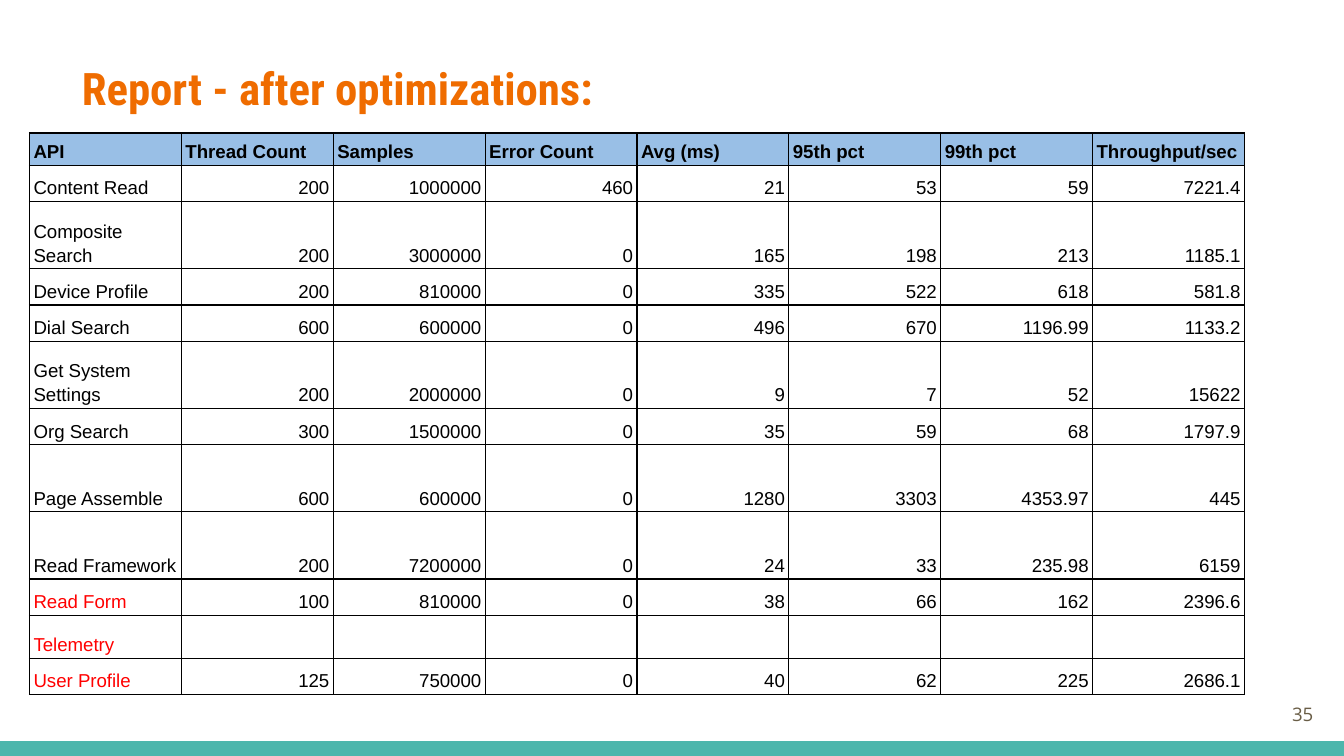
import pptx
import pptx.dml.color
import pptx.enum.shapes
import pptx.enum.text
import pptx.oxml.ns
import pptx.util
from lxml import etree

Inches, Pt = pptx.util.Inches, pptx.util.Pt
RGBColor = pptx.dml.color.RGBColor
ALIGN = pptx.enum.text.PP_ALIGN
ANCHOR = pptx.enum.text.MSO_ANCHOR
qn = pptx.oxml.ns.qn

ORANGE = RGBColor(0xEF, 0x6C, 0x00)
TEAL = RGBColor(0x4D, 0xB6, 0xAC)
HEADER_BLUE = RGBColor(0x99, 0xBF, 0xE6)
BROWN = RGBColor(0x69, 0x5D, 0x46)
BLACK = RGBColor(0, 0, 0)
RED = RGBColor(0xFF, 0, 0)

TITLE = "Report - after optimizations:"
PAGE_NUMBER = "35"
HEADERS = ["API", "Thread Count", "Samples", "Error Count",
           "Avg (ms)", "95th pct", "99th pct", "Throughput/sec"]
RESULTS = [
    ["Content Read", "200", "1000000", "460", "21", "53", "59", "7221.4"],
    ["Composite Search", "200", "3000000", "0", "165", "198", "213", "1185.1"],
    ["Device Profile", "200", "810000", "0", "335", "522", "618", "581.8"],
    ["Dial Search", "600", "600000", "0", "496", "670", "1196.99", "1133.2"],
    ["Get System Settings", "200", "2000000", "0", "9", "7", "52", "15622"],
    ["Org Search", "300", "1500000", "0", "35", "59", "68", "1797.9"],
    ["Page Assemble", "600", "600000", "0", "1280", "3303", "4353.97", "445"],
    ["Read Framework", "200", "7200000", "0", "24", "33", "235.98", "6159"],
    ["Read Form", "100", "810000", "0", "38", "66", "162", "2396.6"],
    ["Telemetry"] + [""] * 7,
    ["User Profile", "125", "750000", "0", "40", "62", "225", "2686.1"],
]
HIGHLIGHTED = {"Read Form", "Telemetry", "User Profile"}
ROW_HEIGHT = 0.27
SPECIAL_HEIGHTS = {"API": 0.24, "Composite Search": 0.5, "Get System Settings": 0.5,
                   "Page Assemble": 0.5, "Read Framework": 0.5, "Telemetry": 0.32}
COLUMN_WIDTH = 1.13
SLIDE_WIDTH = 10
SLIDE_HEIGHT = SLIDE_WIDTH * 9 / 16
BAR_HEIGHT = 0.11


def add_run(paragraph, text, font_name, size, color, bold=False):
    run = paragraph.add_run()
    run.text = text
    run.font.name = font_name
    run.font.size = Pt(size)
    run.font.color.rgb = color
    run.font.bold = bold


def add_label(slide, box, text, anchor, align, *style):
    frame = slide.shapes.add_textbox(*map(Inches, box)).text_frame
    frame.word_wrap = True
    frame.vertical_anchor = anchor
    frame.margin_left = frame.margin_right = Inches(0.1)
    frame.margin_top = frame.margin_bottom = Inches(0.1)
    frame.paragraphs[0].alignment = align
    add_run(frame.paragraphs[0], text, *style)


def add_borders(cell):
    properties = cell._tc.get_or_add_tcPr()
    for side in ("lnL", "lnR", "lnT", "lnB"):
        line = etree.SubElement(properties, qn(f"a:{side}"), w=str(Pt(0.75)))
        fill = etree.SubElement(line, qn("a:solidFill"))
        etree.SubElement(fill, qn("a:srgbClr"), val=str(BLACK))


def fill_cell(cell, text, is_header, is_name):
    add_borders(cell)
    if is_header:
        cell.fill.solid()
        cell.fill.fore_color.rgb = HEADER_BLUE
    else:
        cell.fill.background()
    cell.vertical_anchor = ANCHOR.BOTTOM
    cell.margin_left = cell.margin_right = Inches(0.03)
    cell.margin_top = cell.margin_bottom = Inches(0.02)
    paragraph = cell.text_frame.paragraphs[0]
    paragraph.line_spacing = 1.15
    paragraph.alignment = ALIGN.LEFT if is_header or is_name else ALIGN.RIGHT
    if text:
        color = RED if text in HIGHLIGHTED else BLACK
        add_run(paragraph, text, "Arial", 10, color, is_header)
    else:
        # keeps an empty cell from stretching its row
        etree.SubElement(paragraph._p, qn("a:endParaRPr"), sz="1000")


def add_results_table(slide):
    rows = [HEADERS] + RESULTS
    heights = [SPECIAL_HEIGHTS.get(row[0], ROW_HEIGHT) for row in rows]
    table = slide.shapes.add_table(
        len(rows), len(HEADERS), Inches(0.22), Inches(0.99),
        Inches(COLUMN_WIDTH * len(HEADERS)), Inches(sum(heights))).table
    table.horz_banding = False
    for column in table.columns:
        column.width = Inches(COLUMN_WIDTH)
    for r, (row, height) in enumerate(zip(rows, heights)):
        table.rows[r].height = Inches(height)
        for c, text in enumerate(row):
            fill_cell(table.cell(r, c), text, r == 0, c == 0)


def main():
    presentation = pptx.Presentation()
    presentation.slide_width = Inches(SLIDE_WIDTH)
    presentation.slide_height = Inches(SLIDE_HEIGHT)
    slide = presentation.slides.add_slide(presentation.slide_layouts[6])

    bar = slide.shapes.add_shape(
        pptx.enum.shapes.MSO_SHAPE.RECTANGLE, 0, Inches(SLIDE_HEIGHT - BAR_HEIGHT),
        Inches(SLIDE_WIDTH), Inches(BAR_HEIGHT))
    bar.shadow.inherit = False
    bar.fill.solid()
    bar.fill.fore_color.rgb = TEAL
    bar.line.fill.background()

    add_label(slide, (0.51, 0.35, 8.41, 0.59), TITLE, ANCHOR.TOP, ALIGN.LEFT,
              "Roboto Condensed", 24, ORANGE, True)
    add_results_table(slide)
    add_label(slide, (9.27, 5.1, 0.6, 0.43), PAGE_NUMBER, ANCHOR.MIDDLE, ALIGN.RIGHT,
              "Open Sans", 10, BROWN)
    presentation.save("out.pptx")


if __name__ == "__main__":
    main()
